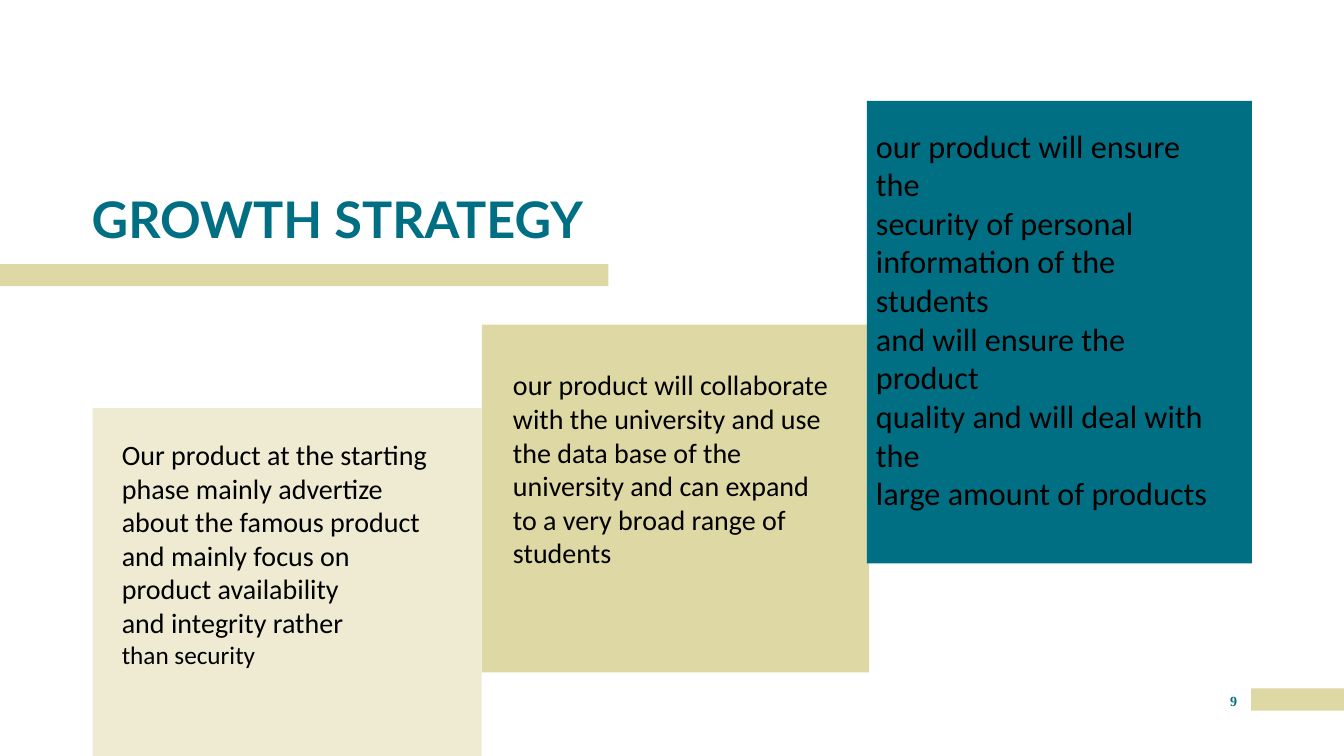
from dataclasses import dataclass

from lxml.etree import SubElement
from pptx import Presentation
from pptx.dml.color import RGBColor
from pptx.enum.shapes import MSO_SHAPE as Preset
from pptx.enum.text import MSO_ANCHOR as Anchor, MSO_AUTO_SIZE as AutoSize, PP_ALIGN as Align
from pptx.oxml.ns import qn
from pptx.util import Emu, Inches, Pt

COLOURS = {"teal": "006F83", "sand": "DED8A4", "black": "000000", "white": "FFFFFF"}
BAR_HEIGHT = 2.93
STEP_HEIGHT = 46


@dataclass(frozen=True)
class Area:
    """Left, top, width and height in per cent of the slide's size."""
    left: float
    top: float
    width: float
    height: float


@dataclass(frozen=True)
class Block:
    area: Area
    colour: str
    opacity: int = 100


@dataclass(frozen=True)
class Line:
    text: str
    size: float
    font: str = "Calibri"
    colour: str = "black"
    bold: bool = False
    spacing: float = 1.0


@dataclass(frozen=True)
class Label:
    area: Area
    lines: list[Line]
    insets: tuple[float, float, float, float] = (0.1, 0.1, 0.1, 0.1)


def same_size(size: float, *texts: str) -> list[Line]:
    return [Line(text, size) for text in texts]


BLOCKS = [
    Block(Area(6.9, 54, 28.93, STEP_HEIGHT), "sand", 49),
    Block(Area(93.1, 91.07, 6.9, BAR_HEIGHT), "sand"),
    Block(Area(35.86, 42.93, 28.81, STEP_HEIGHT), "sand"),
    Block(Area(64.5, 13.33, 28.65, 61.2), "teal"),
    Block(Area(0, 34.93, 45.27, BAR_HEIGHT), "sand"),
]
TITLE = Label(
    Area(6.75, 24.8, 38.56, 8.4),
    [Line("GROWTH STRATEGY", 36, "Lato", "teal", True)],
    (0.01, 0.01, 0, 0),
)
LABELS = [
    Label(
        Area(91.22, 91.2, 1.65, 2.4),
        [Line("9", 10, "Times New Roman", "teal", True, 1.19)],
        (0.04, 0, 0, 0),
    ),
    Label(
        Area(8.33, 56.53, 25.21, 33.6),
        same_size(
            20,
            "Our product at the starting",
            "phase mainly advertize",
            "about the famous product",
            "and mainly focus on",
            "product availability",
            "and integrity rather",
        ) + same_size(18, "than security"),
    ),
    Label(
        Area(37.43, 47.33, 25.06, 29.6),
        same_size(
            20,
            "our product will collaborate",
            "with the university and use",
            "the data base of the university and can expand",
            "to a very broad range of",
            "students",
        ),
    ),
    Label(
        Area(64.44, 15.33, 26.78, 54.27),
        same_size(
            23,
            "our product will ensure the",
            "security of personal information of the students",
            "and will ensure the product",
            "quality and will deal with the",
            "large amount of products",
        ),
    ),
]

deck = Presentation()
deck.slide_width, deck.slide_height = Inches(13.33), Inches(7.5)


def rgb(name: str) -> RGBColor:
    return RGBColor.from_string(COLOURS[name])


def place(area: Area) -> tuple[Emu, Emu, Emu, Emu]:
    """Turn shares of the slide into lengths."""
    across, down = deck.slide_width / 100, deck.slide_height / 100
    return (Emu(round(area.left * across)), Emu(round(area.top * down)),
            Emu(round(area.width * across)), Emu(round(area.height * down)))


def draw_block(page, block: Block) -> None:
    box = page.shapes.add_shape(Preset.RECTANGLE, *place(block.area))
    box.shadow.inherit = False
    box.line.fill.background()
    box.fill.solid()
    box.fill.fore_color.rgb = rgb(block.colour)
    if block.opacity < 100:
        colour = box.fill._xPr.find(qn("a:solidFill"))[0]
        SubElement(colour, qn("a:alpha"), val=str(block.opacity * 1000))


def write(box, label: Label) -> None:
    """Fill and format a text box or placeholder."""
    frame = box.text_frame
    frame.word_wrap = True
    frame.auto_size = AutoSize.NONE
    frame.vertical_anchor = Anchor.TOP
    (frame.margin_left, frame.margin_top,
     frame.margin_right, frame.margin_bottom) = map(Inches, label.insets)
    for index, line in enumerate(label.lines):
        para = frame.add_paragraph() if index else frame.paragraphs[0]
        para.text = line.text
        para.alignment = Align.LEFT
        para.line_spacing = line.spacing
        para.font.name = line.font
        para.font.size = Pt(line.size)
        para.font.bold = line.bold
        para.font.color.rgb = rgb(line.colour)


def main() -> None:
    page = deck.slides.add_slide(deck.slide_layouts[5])
    page.background.fill.solid()
    page.background.fill.fore_color.rgb = rgb("white")
    for block in BLOCKS:
        draw_block(page, block)
    title = page.shapes.title
    title.left, title.top, title.width, title.height = place(TITLE.area)
    write(title, TITLE)
    for label in LABELS:
        write(page.shapes.add_textbox(*place(label.area)), label)
    deck.save("out.pptx")


if __name__ == "__main__":
    main()
